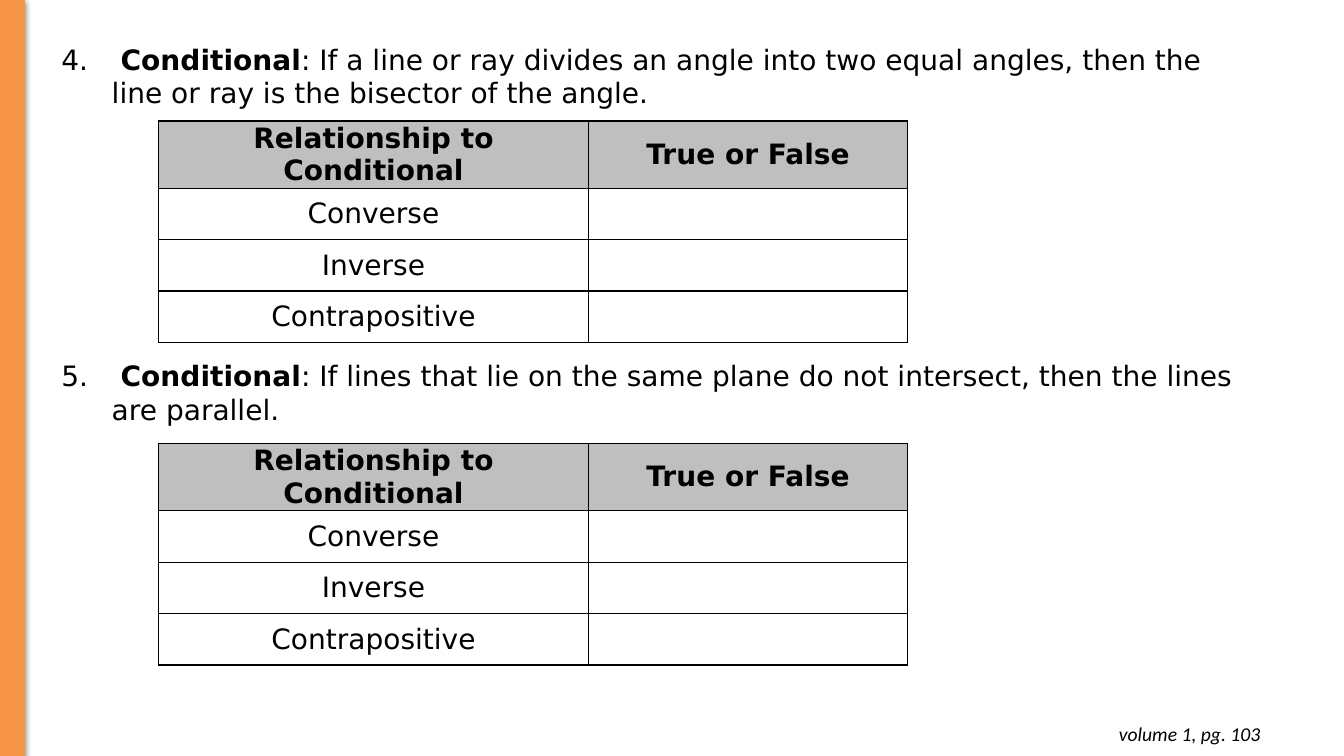
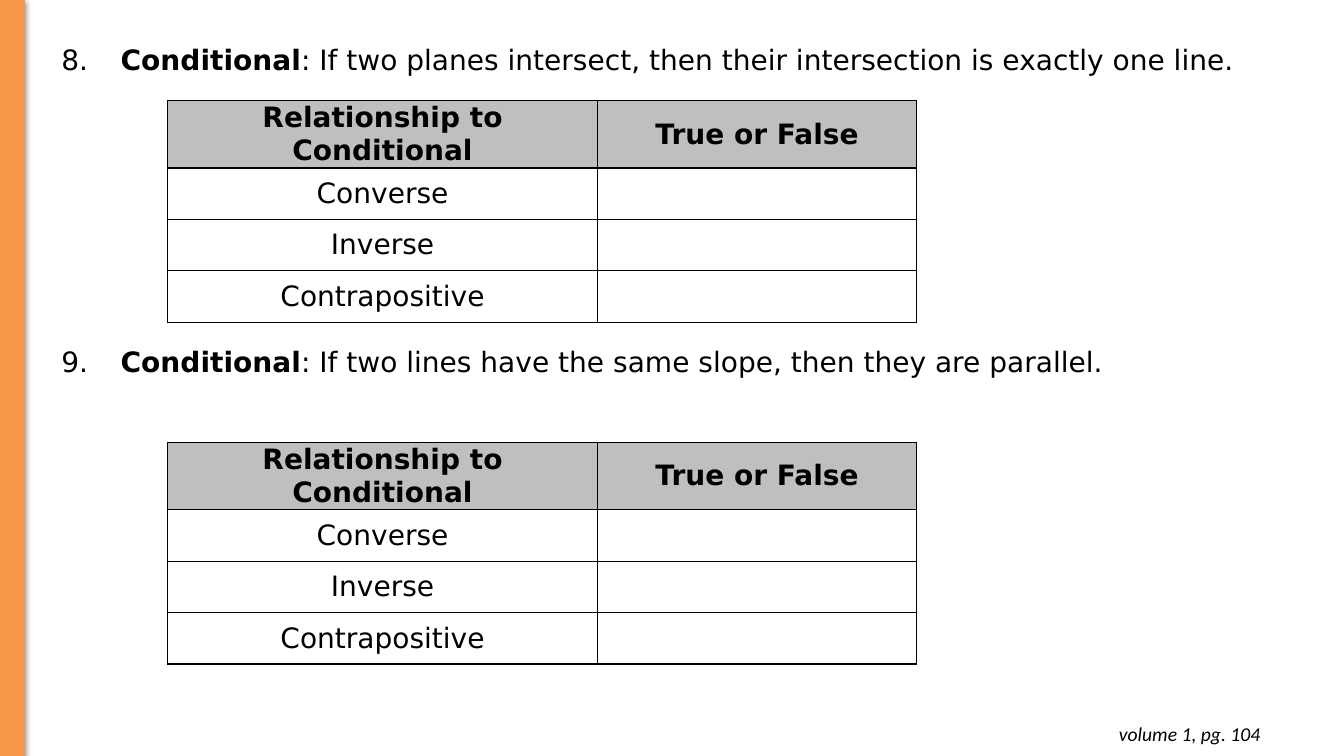
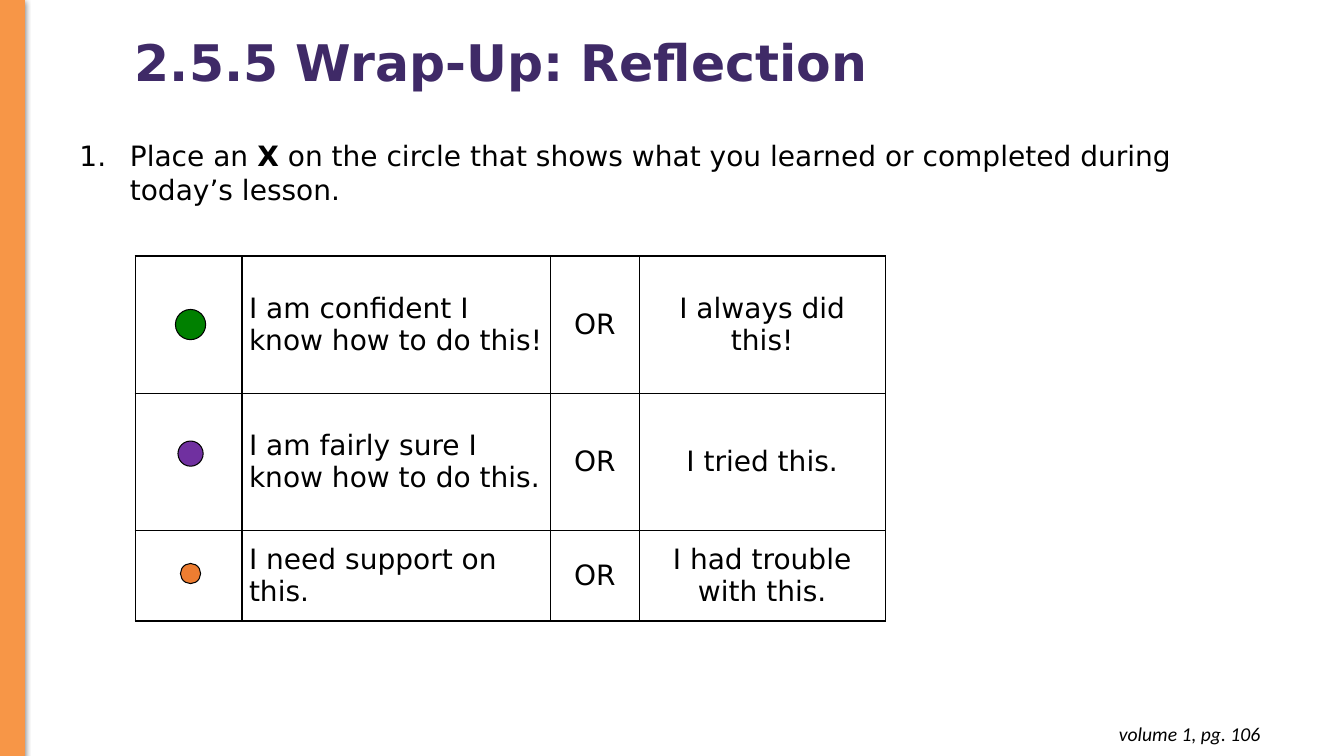
"""Build three lesson slides: two pages of conditional statements and a reflection page."""
from lxml.etree import SubElement
from pptx import Presentation
from pptx.dml.color import RGBColor
from pptx.enum.shapes import MSO_SHAPE as Shape
from pptx.enum.text import MSO_ANCHOR as Anchor, PP_ALIGN as Align
from pptx.oxml.ns import qn
from pptx.util import Inches, Pt

WIDTH, HEIGHT = 13.33, 7.5
COLORS = {
    "text": "000000", "title": "3F2A67", "band": "F79647", "header": "BFBFBF",
    "green": "008000", "purple": "7030A0", "orange": "ED7D31",
}
BODY_FONT, FOOTER_FONT = "DejaVu Sans", "Calibri"
BODY_SIZE, TITLE_SIZE, FOOTER_SIZE = 20, 36, 14
HANGING = 0.5

RELATIONS = [
    ("Relationship to Conditional", "True or False"),
    ("Converse", ""),
    ("Inverse", ""),
    ("Contrapositive", ""),
]
RELATION_COLUMNS, RELATION_ROWS = (4.27, 3.16), (0.66, 0.51, 0.51, 0.51)

CONDITIONAL_PAGES = [
    {
        "footer": "volume 1, pg. 103", "width": 12.09, "table_left": 1.57,
        "items": [
            (4, 0.37, 1.2, ": If a line or ray divides an angle into two equal angles, "
                           "then the line or ray is the bisector of the angle."),
            (5, 3.51, 4.4, ": If lines that lie on the same plane do not intersect, "
                           "then the lines are parallel."),
        ],
    },
    {
        "footer": "volume 1, pg. 104", "width": 12.21, "table_left": 1.66,
        "items": [
            (8, 0.37, 1, ": If two planes intersect, then their intersection is "
                         "exactly one line."),
            (9, 3.37, 4.39, ": If two lines have the same slope, then they are parallel."),
        ],
    },
]

REFLECTION = {
    "footer": "volume 1, pg. 106",
    "title": "2.5.5 Wrap-Up: Reflection",
    "prompt": [
        ("Place an ", False), ("X", True),
        (" on the circle that shows what you learned or completed during today’s lesson.",
         False),
    ],
    "rows": [
        ("", "I am confident I know how to do this!", "OR", "I always did this!"),
        ("", "I am fairly sure I know how to do this.", "OR", "I tried this."),
        ("", "I need support on this.", "OR", "I had trouble with this."),
    ],
    "column_widths": (1.06, 3.06, 0.88, 2.44),
    "row_heights": (1.36, 1.36, 0.9),
    "circle_center": 1.89,
    "circles": [("green", 3.22, 0.3), ("purple", 4.5, 0.25), ("orange", 5.69, 0.2)],
}


def color(name):
    return RGBColor.from_string(COLORS[name])


def add_span(para, text, size=BODY_SIZE, font=BODY_FONT, bold=False, italic=False, ink="text"):
    span = para.add_run()
    span.text = text
    span.font.size, span.font.name = Pt(size), font
    span.font.bold, span.font.italic = bold, italic
    span.font.color.rgb = color(ink)


def add_box(page, left, top, width, height, margin=0.05):
    box = page.shapes.add_textbox(*map(Inches, (left, top, width, height)))
    frame = box.text_frame
    frame.word_wrap = True
    frame.margin_top = frame.margin_bottom = Inches(margin)
    return frame


def add_shape(page, kind, left, top, width, height, fill, line):
    shape = page.shapes.add_shape(kind, *map(Inches, (left, top, width, height)))
    shape.shadow.inherit = False
    shape.fill.solid()
    shape.fill.fore_color.rgb = color(fill)
    shape.line.color.rgb = color(line)
    shape.line.width = Pt(0.75)
    return shape


def add_page(deck, footer):
    page = deck.slides.add_slide(deck.slide_layouts[6])
    band = add_shape(page, Shape.RECTANGLE, 0, 0, 0.24, HEIGHT, "band", "band")
    effects = band.element.spPr.find(qn("a:effectLst"))
    shadow = SubElement(effects, qn("a:outerShdw"), blurRad=str(Pt(4.5)), dist=str(Pt(1.5)),
                        dir="5400000", rotWithShape="0")
    ink = SubElement(shadow, qn("a:srgbClr"), val=COLORS["text"])
    SubElement(ink, qn("a:alpha"), val="50000")
    para = add_box(page, 9.72, HEIGHT - 0.44, 2.88, 0.44, 0.1).paragraphs[0]
    para.alignment = Align.RIGHT
    add_span(para, footer, FOOTER_SIZE, FOOTER_FONT, italic=True)
    return page


def add_numbered(page, left, top, width, number, spans):
    para = add_box(page, left, top, width, 0.77).paragraphs[0]
    props = para._p.get_or_add_pPr()
    props.set("marL", str(Inches(HANGING)))
    props.set("indent", str(-Inches(HANGING)))
    bullet_color = SubElement(props, qn("a:buClr"))
    SubElement(bullet_color, qn("a:srgbClr"), val=COLORS["text"])
    SubElement(props, qn("a:buAutoNum"), type="arabicPeriod", startAt=str(number))
    for text, bold in spans:
        add_span(para, text, bold=bold)


def add_borders(cell):
    props = cell._tc.get_or_add_tcPr()
    for side in ("lnL", "lnR", "lnT", "lnB"):
        line = SubElement(props, qn(f"a:{side}"), w=str(Pt(1)))
        fill = SubElement(line, qn("a:solidFill"))
        SubElement(fill, qn("a:srgbClr"), val=COLORS["text"])


def add_grid(page, left, top, widths, heights, rows, header=False, left_column=None):
    frame = page.shapes.add_table(len(rows), len(widths), Inches(left), Inches(top),
                                  Inches(sum(widths)), Inches(sum(heights)))
    table = frame.table
    table.first_row = table.horz_banding = False
    for column, width in zip(table.columns, widths):
        column.width = Inches(width)
    for row_index, (row, height) in enumerate(zip(rows, heights)):
        table.rows[row_index].height = Inches(height)
        is_header = header and row_index == 0
        for column_index, text in enumerate(row):
            cell = table.cell(row_index, column_index)
            cell.vertical_anchor = Anchor.MIDDLE
            cell.margin_left = cell.margin_right = Inches(0.07)
            cell.margin_top = cell.margin_bottom = 0
            add_borders(cell)
            if is_header:
                cell.fill.solid()
                cell.fill.fore_color.rgb = color("header")
            else:
                cell.fill.background()
            if text:
                para = cell.text_frame.paragraphs[0]
                para.alignment = Align.LEFT if column_index == left_column else Align.CENTER
                add_span(para, text, bold=is_header)


def build_conditionals(deck, content):
    page = add_page(deck, content["footer"])
    for number, text_top, table_top, statement in content["items"]:
        spans = [(" ", False), ("Conditional", True), (statement, False)]
        add_numbered(page, 0.51, text_top, content["width"], number, spans)
        add_grid(page, content["table_left"], table_top, RELATION_COLUMNS, RELATION_ROWS,
                 RELATIONS, header=True)


def build_reflection(deck, content):
    page = add_page(deck, content["footer"])
    title = add_box(page, 1.24, 0, 8.77, 1.29)
    title.vertical_anchor = Anchor.MIDDLE
    title.paragraphs[0].line_spacing = 0.9
    add_span(title.paragraphs[0], content["title"], TITLE_SIZE, bold=True, ink="title")
    add_numbered(page, 0.69, 1.33, 12.03, 1, content["prompt"])
    add_grid(page, 1.34, 2.54, content["column_widths"], content["row_heights"],
             content["rows"], left_column=1)
    for fill, middle, size in content["circles"]:
        add_shape(page, Shape.OVAL, content["circle_center"] - size / 2, middle - size / 2,
                  size, size, fill, "text")


def main():
    deck = Presentation()
    deck.slide_width, deck.slide_height = Inches(WIDTH), Inches(HEIGHT)
    for content in CONDITIONAL_PAGES:
        build_conditionals(deck, content)
    build_reflection(deck, REFLECTION)
    deck.save("out.pptx")


if __name__ == "__main__":
    main()
